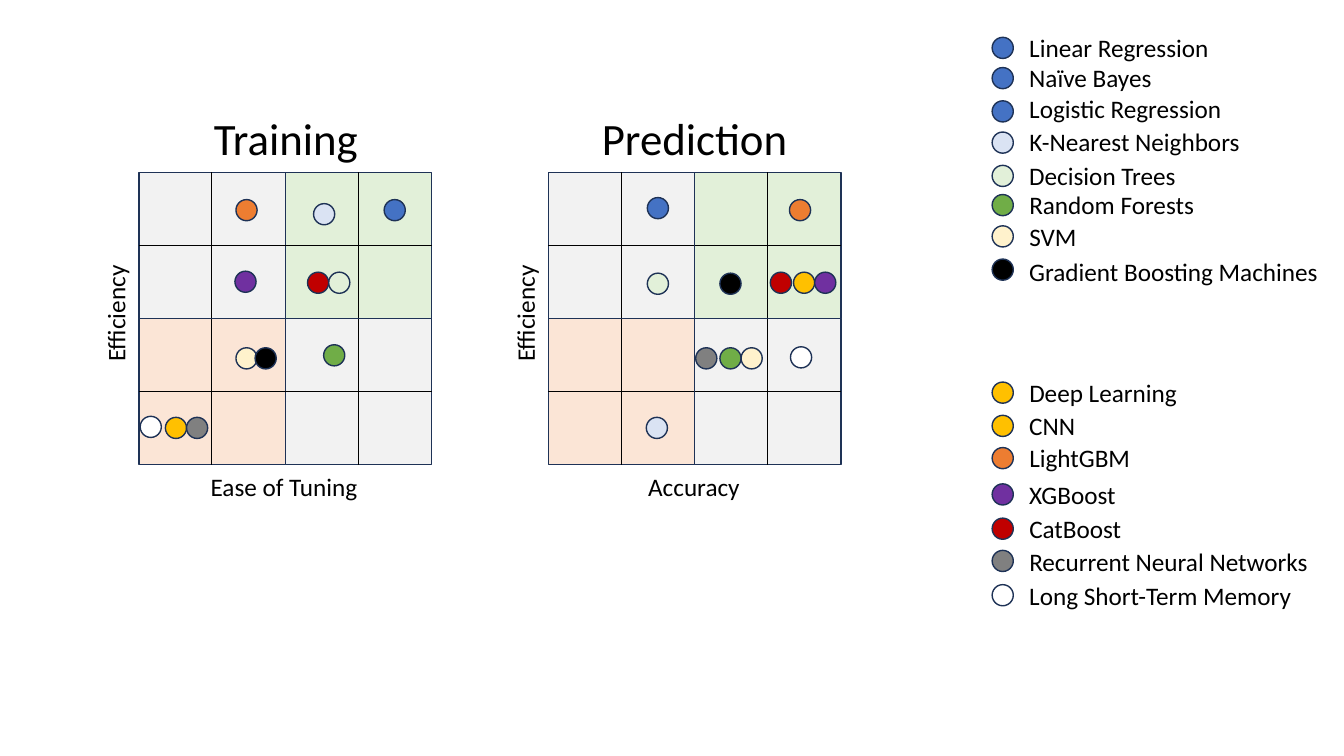
from dataclasses import dataclass
from itertools import product

from lxml.etree import SubElement
from pptx import Presentation
from pptx.dml.color import RGBColor as Rgb
from pptx.enum.shapes import MSO_CONNECTOR as Connector, MSO_SHAPE as Shape
from pptx.enum.text import MSO_AUTO_SIZE as AutoSize, PP_ALIGN as Align
from pptx.oxml.ns import qn
from pptx.util import Pt


@dataclass(frozen=True)
class Theme:
    font: str = "Calibri"
    title_size: int = 32
    label_size: int = 18
    ink: str = "000000"
    outline: str = "1E3256"
    outline_width: float = 1
    grid_width: float = 0.5
    neutral: str = "F2F2F2"
    good: str = "E2F0D9"
    poor: str = "FBE5D6"
    blue: str = "4472C4"
    pale_blue: str = "DAE3F3"
    green: str = "70AD47"
    cream: str = "FFF2CC"
    gold: str = "FFC000"
    orange: str = "ED7D31"
    purple: str = "7030A0"
    red: str = "C00000"
    gray: str = "808080"
    white: str = "FFFFFF"


THEME = Theme()
EMU_PER_PX = 9144
DOT = 21
QUADRANT = 145
PANEL_TOP = 171
LABEL_HEIGHT = 40
LEGEND_DOT_LEFT = 984
LEGEND_TEXT_LEFT = 1011

# name, colour, dot top, label top, label width
LEGEND = [
    ("Linear Regression", THEME.blue, 37, 27, 200),
    ("Naïve Bayes", THEME.blue, 67, 57, 143),
    ("Logistic Regression", THEME.blue, 100, 88, 213),
    ("K-Nearest Neighbors", THEME.pale_blue, 131, 120, 232),
    ("Decision Trees", THEME.good, 164, 154, 167),
    ("Random Forests", THEME.green, 193, 183, 185),
    ("SVM", THEME.cream, 224, 215, 68),
    ("Gradient Boosting Machines", THEME.ink, 257, 249, 310),
    ("Deep Learning", THEME.gold, 379, 369, 169),
    ("CNN", THEME.gold, 412, 402, 66),
    ("LightGBM", THEME.orange, 444, 434, 121),
    ("XGBoost", THEME.purple, 480, 471, 107),
    ("CatBoost", THEME.red, 514, 504, 112),
    ("Recurrent Neural Networks", THEME.gray, 546, 537, 299),
    ("Long Short-Term Memory", THEME.white, 580, 571, 284),
]
MODEL_COLOURS = {name: colour for name, colour, *_ in LEGEND}

TRAINING_DOTS = {
    "CNN": (164, 414),
    "Linear Regression": (381, 198),
    "Random Forests": (321, 342),
    "LightGBM": (234, 198),
    "XGBoost": (233, 269),
    "CatBoost": (305, 270),
    "K-Nearest Neighbors": (311, 202),
    "Decision Trees": (326, 270),
    "SVM": (234, 345),
    "Gradient Boosting Machines": (253, 345),
    "Recurrent Neural Networks": (185, 414),
    "Long Short-Term Memory": (139, 413),
}
PREDICTION_DOTS = {
    "CNN": (787, 270),
    "Linear Regression": (642, 196),
    "Random Forests": (714, 345),
    "LightGBM": (783, 198),
    "XGBoost": (808, 270),
    "CatBoost": (764, 270),
    "K-Nearest Neighbors": (641, 414),
    "Decision Trees": (642, 271),
    "SVM": (735, 345),
    "Gradient Boosting Machines": (714, 271),
    "Recurrent Neural Networks": (690, 345),
    "Long Short-Term Memory": (784, 344),
}


def px(*lengths):
    return [length * EMU_PER_PX for length in lengths]


def add_text(slide, text, left, top, width, height=LABEL_HEIGHT, *,
             size=THEME.label_size, align=Align.LEFT, rotation=0):
    label = slide.shapes.add_textbox(*px(left, top, width, height))
    label.rotation = rotation
    frame = label.text_frame
    frame.word_wrap = False
    frame.auto_size = AutoSize.SHAPE_TO_FIT_TEXT
    paragraph = frame.paragraphs[0]
    paragraph.alignment = align
    run = paragraph.add_run()
    run.text = text
    run.font.name = THEME.font
    run.font.size = Pt(size)
    run.font.color.rgb = Rgb.from_string(THEME.ink)


def add_filled(shapes, kind, left, top, side, colour):
    filled = shapes.add_shape(kind, *px(left, top, side, side))
    filled.shadow.inherit = False
    filled.fill.solid()
    filled.fill.fore_color.rgb = Rgb.from_string(colour)
    filled.line.color.rgb = Rgb.from_string(THEME.outline)
    filled.line.width = Pt(THEME.outline_width)


def add_grid_line(shapes, *ends):
    grid_line = shapes.add_connector(Connector.STRAIGHT, *px(*ends))
    grid_line.line.color.rgb = Rgb.from_string(THEME.ink)
    grid_line.line.width = Pt(THEME.grid_width)
    SubElement(grid_line._element.spPr, qn("a:effectLst"))


def add_quadrant(slide, left, top, colour):
    shapes = slide.shapes.add_group_shape().shapes
    middle_x, middle_y = left + QUADRANT // 2, top + QUADRANT // 2
    add_filled(shapes, Shape.RECTANGLE, left, top, QUADRANT, colour)
    add_grid_line(shapes, middle_x, top, middle_x, top + QUADRANT)
    add_grid_line(shapes, left, middle_y, left + QUADRANT, middle_y)


def add_dot(slide, left, top, colour):
    add_filled(slide.shapes, Shape.OVAL, left, top, DOT, colour)


def add_panel(slide, left, title, title_width, axis, axis_width, dots):
    colours = (THEME.neutral, THEME.good, THEME.poor, THEME.neutral)
    for (row, column), colour in zip(product(range(2), repeat=2), colours):
        add_quadrant(slide, left + column * QUADRANT,
                     PANEL_TOP + row * QUADRANT, colour)
    centre = left + QUADRANT
    add_text(slide, title, centre - title_width // 2, 105, title_width, 64,
             size=THEME.title_size, align=Align.CENTER)
    add_text(slide, axis, centre - axis_width // 2, 463, axis_width)
    add_text(slide, "Efficiency", left - 82, 290, 117, rotation=270)
    for model, (dot_left, dot_top) in dots.items():
        add_dot(slide, dot_left, dot_top, MODEL_COLOURS[model])


def add_legend(slide):
    for name, colour, dot_top, label_top, width in LEGEND:
        add_dot(slide, LEGEND_DOT_LEFT, dot_top, colour)
        add_text(slide, name, LEGEND_TEXT_LEFT, label_top, width)


def main():
    """Build the slide comparing models by training and prediction."""
    deck = Presentation()
    deck.slide_width, deck.slide_height = px(1333, 750)
    slide = deck.slides.add_slide(deck.slide_layouts[6])
    add_panel(slide, 138, "Training", 165, "Ease of Tuning", 168, TRAINING_DOTS)
    add_panel(slide, 544, "Prediction", 206, "Accuracy", 112, PREDICTION_DOTS)
    add_legend(slide)
    deck.save("out.pptx")


if __name__ == "__main__":
    main()
